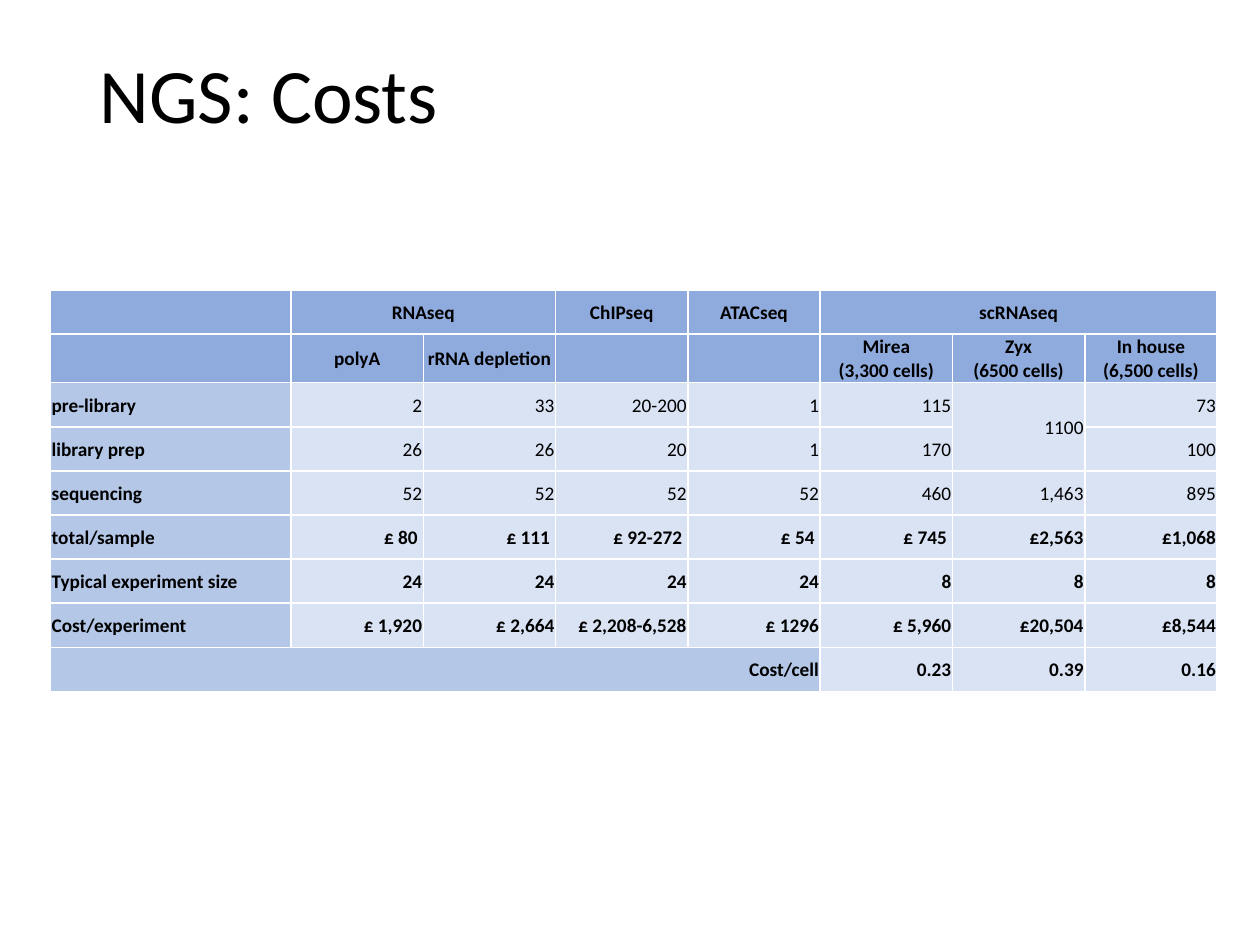
"""Build the slide that compares sequencing costs per method."""
import dataclasses

import lxml.etree
import pptx
import pptx.dml.color
import pptx.enum.text
import pptx.oxml.ns
import pptx.util

Inches = pptx.util.Inches
Align = pptx.enum.text.PP_ALIGN
Anchor = pptx.enum.text.MSO_ANCHOR

COLORS = {
    "header": "8FAADC",
    "label": "B4C7E7",
    "value": "DAE3F3",
    "border": "FFFFFF",
    "text": "000000",
}


@dataclasses.dataclass(frozen=True)
class CostRow:
    texts: tuple[str, ...]
    is_header: bool = False
    bold_values: bool = True
    label_columns: int = 1


@dataclasses.dataclass(frozen=True)
class Span:
    row: int
    column: int
    last_row: int
    last_column: int


COST_ROWS = (
    CostRow(("", "RNAseq", "", "ChIPseq", "ATACseq", "scRNAseq", "", ""), is_header=True),
    CostRow(
        ("", "polyA", "rRNA depletion", "", "", "Mirea\n(3,300 cells)",
         "Zyx\n(6500 cells)", "In house\n(6,500 cells)"),
        is_header=True,
    ),
    CostRow(("pre-library", "2", "33", "20-200", "1", "115", "1100", "73"), bold_values=False),
    CostRow(("library prep", "26", "26", "20", "1", "170", "", "100"), bold_values=False),
    CostRow(("sequencing", "52", "52", "52", "52", "460", "1,463", "895"), bold_values=False),
    CostRow(("total/sample", "£ 80 ", "£ 111 ", "£ 92-272 ", "£ 54 ", "£ 745 ", "£2,563", "£1,068")),
    CostRow(("Typical experiment size", "24", "24", "24", "24", "8", "8", "8")),
    CostRow(("Cost/experiment", "£ 1,920", "£ 2,664", "£ 2,208-6,528", "£ 1296", "£ 5,960",
             "£20,504", "£8,544")),
    CostRow(("Cost/cell", "", "", "", "", "0.23", "0.39", "0.16"), label_columns=5),
)
SPANS = (Span(0, 1, 0, 2), Span(0, 5, 0, 7), Span(2, 6, 3, 6), Span(8, 0, 8, 4))
COLUMN_WIDTHS = (1.91,) + (1.05,) * 7
ROW_HEIGHT = 0.35
CELL_FORMAT = {
    "margin_left": Inches(0.01),
    "margin_right": Inches(0.01),
    "margin_top": Inches(0.01),
    "margin_bottom": 0,
    "vertical_anchor": Anchor.MIDDLE,
}


def set_format(target: object, values: dict) -> None:
    """Set every attribute named in the format values."""
    for name, value in values.items():
        setattr(target, name, value)


def format_text(paragraph, alignment: Align, size: float, bold: bool) -> None:
    """Format a paragraph and all its runs."""
    paragraph.alignment = alignment
    for run in paragraph.runs:
        set_format(run.font, {"name": "Calibri", "size": pptx.util.Pt(size), "bold": bold})
        run.font.color.rgb = pptx.dml.color.RGBColor.from_string(COLORS["text"])


def add_borders(cell) -> None:
    """Give a cell a thin border on all four sides."""
    qn = pptx.oxml.ns.qn
    properties = cell._tc.get_or_add_tcPr()
    for side in ("lnL", "lnR", "lnT", "lnB"):
        line = lxml.etree.SubElement(properties, qn(f"a:{side}"), w=str(pptx.util.Pt(1)))
        fill = lxml.etree.SubElement(line, qn("a:solidFill"))
        lxml.etree.SubElement(fill, qn("a:srgbClr"), val=COLORS["border"])


def fill_cell(cell, row: CostRow, column: int) -> None:
    """Write and style one cell according to its role in the row."""
    is_label = column < row.label_columns
    role = "header" if row.is_header else "label" if is_label else "value"
    if row.is_header:
        alignment = Align.CENTER
    elif is_label and row.label_columns == 1:
        alignment = Align.LEFT
    else:
        alignment = Align.RIGHT
    add_borders(cell)
    set_format(cell, CELL_FORMAT)
    cell.fill.solid()
    cell.fill.fore_color.rgb = pptx.dml.color.RGBColor.from_string(COLORS[role])
    cell.text = row.texts[column]
    for paragraph in cell.text_frame.paragraphs:
        format_text(paragraph, alignment, 11, is_label or row.bold_values)


def add_cost_table(slide) -> None:
    """Add the table of costs with its merged cells."""
    table = slide.shapes.add_table(
        len(COST_ROWS), len(COLUMN_WIDTHS), Inches(0.4), Inches(2.3),
        Inches(sum(COLUMN_WIDTHS)), Inches(ROW_HEIGHT * len(COST_ROWS)),
    ).table
    for column, width in zip(table.columns, COLUMN_WIDTHS):
        column.width = Inches(width)
    for row_index, row in enumerate(COST_ROWS):
        table.rows[row_index].height = Inches(ROW_HEIGHT)
        for column_index in range(len(COLUMN_WIDTHS)):
            fill_cell(table.cell(row_index, column_index), row, column_index)
    for span in SPANS:
        table.cell(span.row, span.column).merge(table.cell(span.last_row, span.last_column))


def add_title(slide, text: str) -> None:
    """Place and format the title placeholder."""
    title = slide.shapes.title
    set_format(title, {"left": Inches(0.69), "top": Inches(0.4),
                       "width": Inches(8.62), "height": Inches(1.45)})
    frame = title.text_frame
    frame.text = text
    set_format(frame, {"vertical_anchor": Anchor.TOP, "word_wrap": True,
                       "auto_size": pptx.enum.text.MSO_AUTO_SIZE.NONE})
    paragraph = frame.paragraphs[0]
    paragraph.line_spacing = 0.9
    format_text(paragraph, Align.LEFT, 44, False)


def main() -> None:
    """Create and save the presentation."""
    presentation = pptx.Presentation()
    set_format(presentation, {"slide_width": Inches(10), "slide_height": Inches(7.5)})
    slide = presentation.slides.add_slide(presentation.slide_layouts[5])
    add_cost_table(slide)
    add_title(slide, "NGS: Costs")
    presentation.save("out.pptx")


if __name__ == "__main__":
    main()
